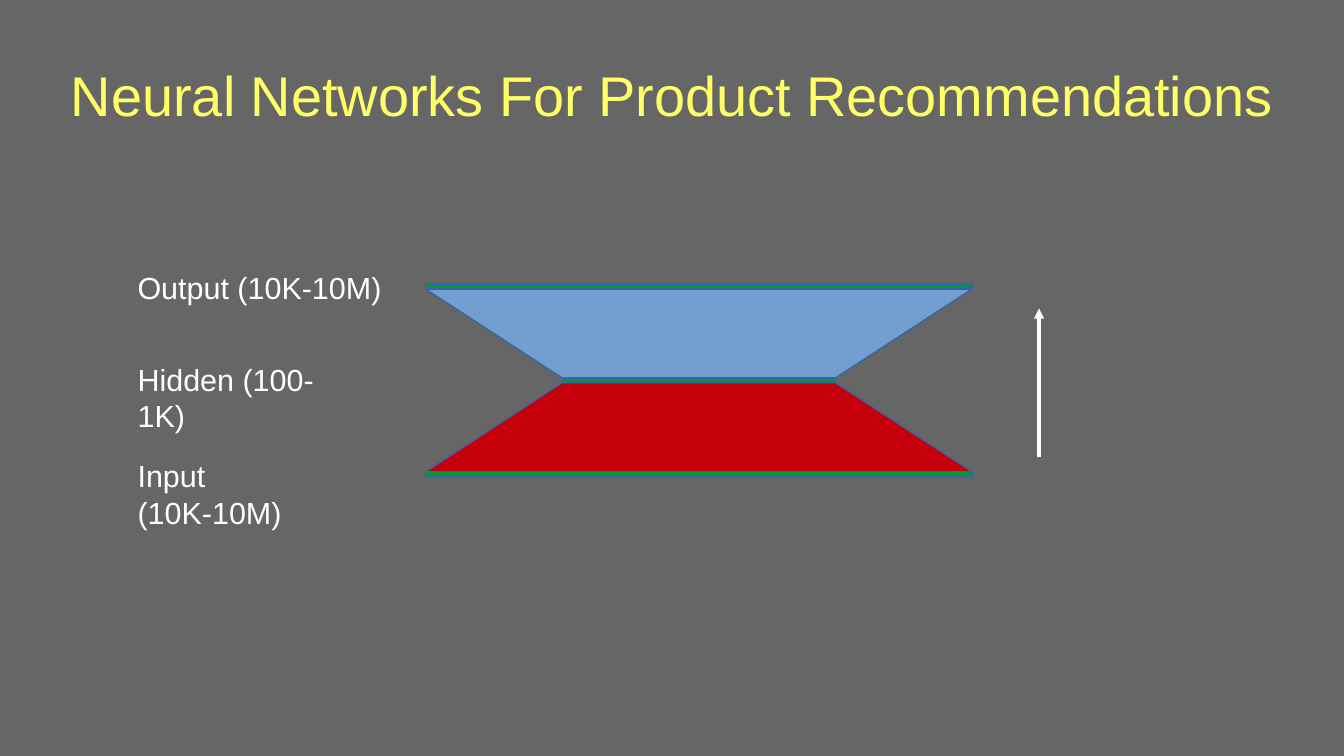
"""Build a slide showing a bottleneck neural network for product recommendations."""
from dataclasses import dataclass

from lxml.etree import SubElement
from pptx import Presentation
from pptx.dml.color import RGBColor
from pptx.enum.shapes import MSO_CONNECTOR, MSO_SHAPE
from pptx.enum.text import MSO_ANCHOR, MSO_AUTO_SIZE, PP_ALIGN
from pptx.oxml.ns import qn
from pptx.util import Inches, Pt

TITLE = "Neural Networks For Product Recommendations"
# label, label top, label width, layer width
LAYERS = [
    ("Output (10K-10M)", 2.16, 2.2, 4.48),
    ("Hidden (100-1K)", 2.91, 2.03, 2.24),
    ("Input (10K-10M)", 3.7, 2.0, 4.48),
]


@dataclass(frozen=True)
class Theme:
    """Colours, font and type sizes of the slide."""
    background: str = "666666"
    title: str = "FFFF66"
    text: str = "FFFFFF"
    layer: str = "009933"
    outline: str = "3465A4"
    weights: tuple = ("729FCF", "C5000B")
    font: str = "Arial"
    title_size: int = 33
    label_size: int = 18


THEME = Theme()
CENTER, LAYERS_TOP, LAYER_PITCH, LAYER_HEIGHT = 5.73, 2.33, 0.77, 0.04
LABEL_LEFT, LABEL_HEIGHT = 1.03, 0.38
ARROW_X, ARROW_BOTTOM, ARROW_TOP = 8.52, 3.75, 2.53


def layer_top(index):
    """Return the top of a layer in inches."""
    return LAYERS_TOP + index * LAYER_PITCH


def paint(shape, fill):
    """Give a shape its fill and hairline outline."""
    shape.shadow.inherit = False
    shape.fill.solid()
    shape.fill.fore_color.rgb = RGBColor.from_string(fill)
    shape.line.color.rgb = RGBColor.from_string(THEME.outline)
    shape.line.width = Pt(0)


def write(frame, text, size, color):
    """Write one formatted paragraph and return it."""
    paragraph = frame.paragraphs[0]
    paragraph.text = text
    paragraph.font.name = THEME.font
    paragraph.font.size = Pt(size)
    paragraph.font.color.rgb = RGBColor.from_string(color)
    return paragraph


def add_title(slide):
    """Fill and place the title placeholder."""
    title = slide.shapes.title
    title.left, title.top = Inches(0.55), Inches(0.25)
    title.width, title.height = Inches(9.92), Inches(1.04)
    frame = title.text_frame
    frame.margin_left = frame.margin_right = frame.margin_top = frame.margin_bottom = 0
    frame.vertical_anchor = MSO_ANCHOR.MIDDLE
    frame.word_wrap = True
    frame.auto_size = MSO_AUTO_SIZE.NONE
    write(frame, TITLE, THEME.title_size, THEME.title).alignment = PP_ALIGN.CENTER


def add_weights(slide, index, fill):
    """Draw the trapezoid between a layer and the next one."""
    top, bottom = layer_top(index) + LAYER_HEIGHT, layer_top(index + 1)
    upper, lower = LAYERS[index][3] / 2, LAYERS[index + 1][3] / 2
    corners = [
        (Inches(CENTER + dx), Inches(y))
        for dx, y in ((-upper, top), (upper, top), (lower, bottom), (-lower, bottom))
    ]
    builder = slide.shapes.build_freeform(*corners[0], scale=1.0)
    builder.add_line_segments(corners[1:], close=True)
    paint(builder.convert_to_shape(), fill)


def add_arrow(slide):
    """Draw the arrow from input to output."""
    arrow = slide.shapes.add_connector(
        MSO_CONNECTOR.STRAIGHT, Inches(ARROW_X), Inches(ARROW_BOTTOM),
        Inches(ARROW_X), Inches(ARROW_TOP))
    arrow.line.color.rgb = RGBColor.from_string(THEME.text)
    arrow.line.width = Pt(0)
    SubElement(arrow.line._get_or_add_ln(), qn("a:tailEnd"), type="triangle")
    SubElement(arrow._element.spPr, qn("a:effectLst"))


def add_layer(slide, index, label, label_top, label_width, width):
    """Draw a layer bar and its label."""
    bar = slide.shapes.add_shape(
        MSO_SHAPE.RECTANGLE, Inches(CENTER - width / 2), Inches(layer_top(index)),
        Inches(width), Inches(LAYER_HEIGHT))
    paint(bar, THEME.layer)
    caption = slide.shapes.add_textbox(
        Inches(LABEL_LEFT), Inches(label_top), Inches(label_width), Inches(LABEL_HEIGHT))
    caption.text_frame.word_wrap = False
    caption.text_frame.auto_size = MSO_AUTO_SIZE.SHAPE_TO_FIT_TEXT
    write(caption.text_frame, label, THEME.label_size, THEME.text)


def main():
    """Build and save the slide."""
    deck = Presentation()
    deck.slide_width, deck.slide_height = Inches(11.02), Inches(6.2)
    slide = deck.slides.add_slide(deck.slide_layouts[5])
    slide.background.fill.solid()
    slide.background.fill.fore_color.rgb = RGBColor.from_string(THEME.background)
    add_title(slide)
    for index, fill in enumerate(THEME.weights):
        add_weights(slide, index, fill)
    add_arrow(slide)
    for index, layer in enumerate(LAYERS):
        add_layer(slide, index, *layer)
    deck.save("out.pptx")


if __name__ == "__main__":
    main()
